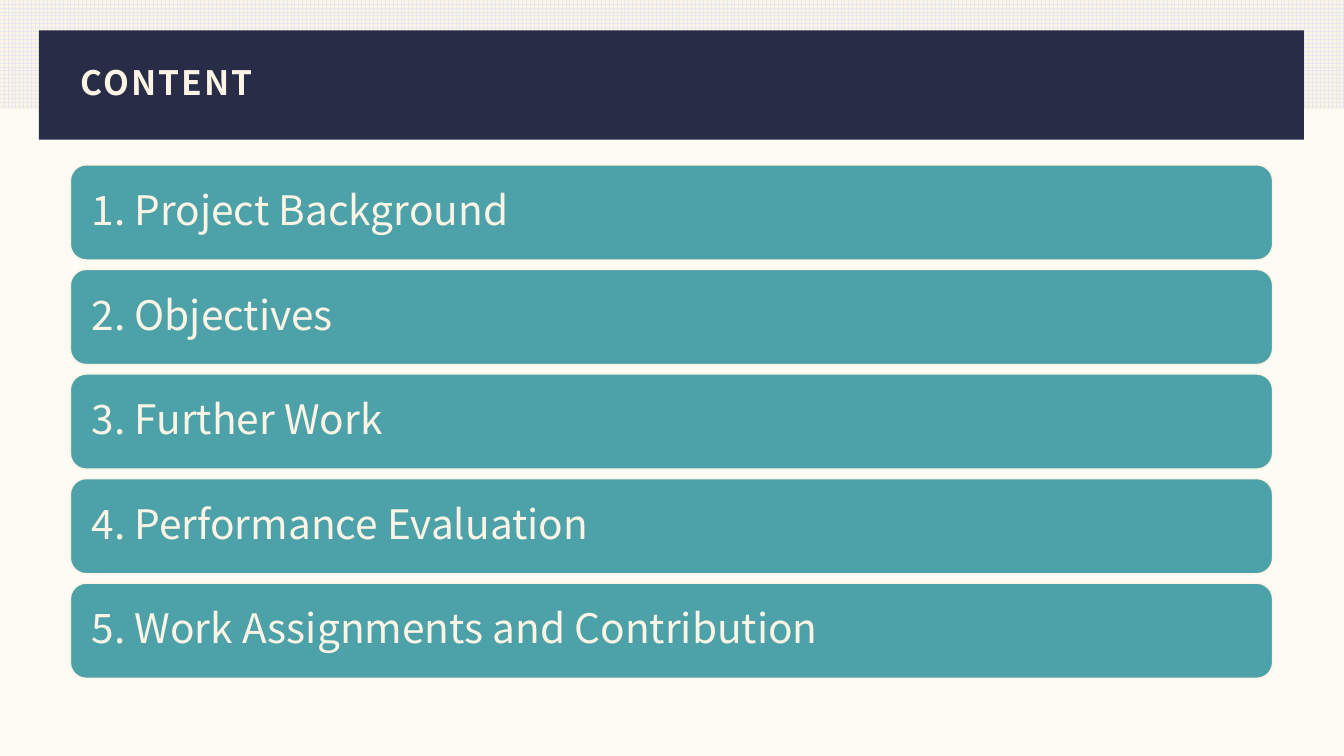
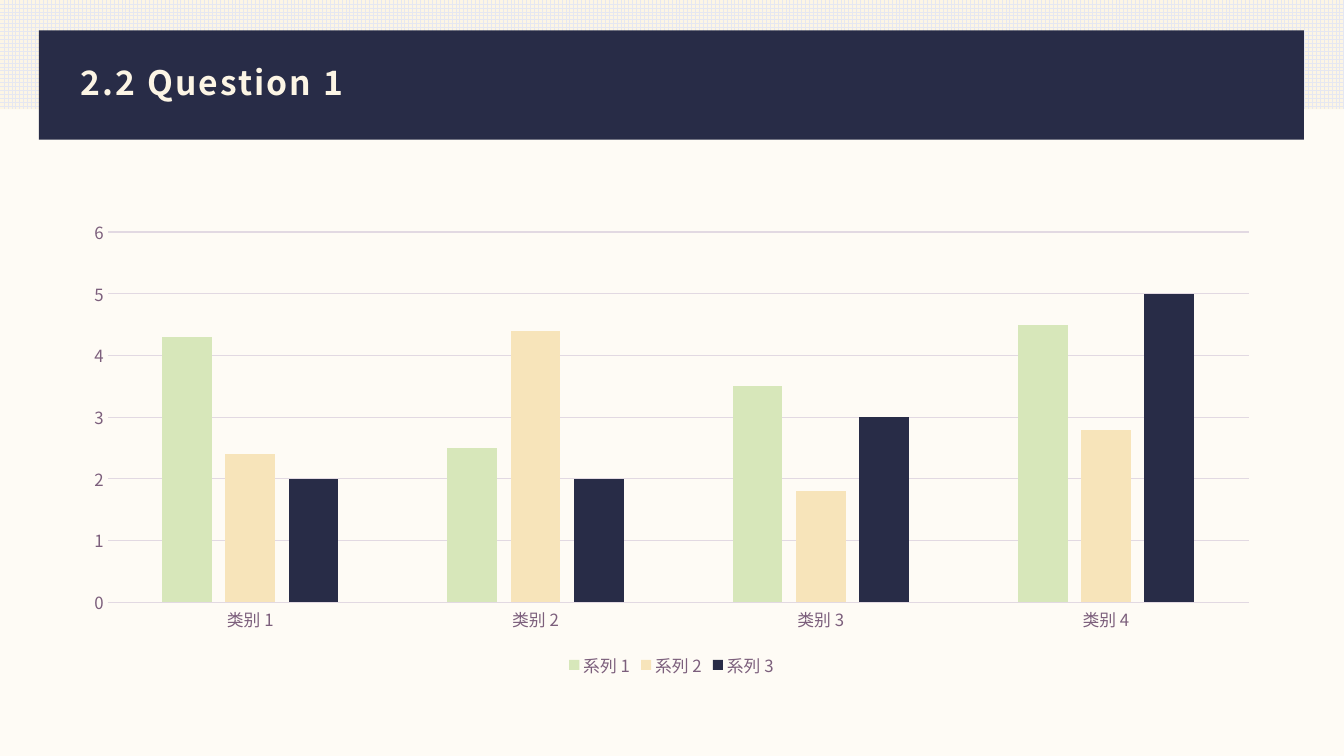
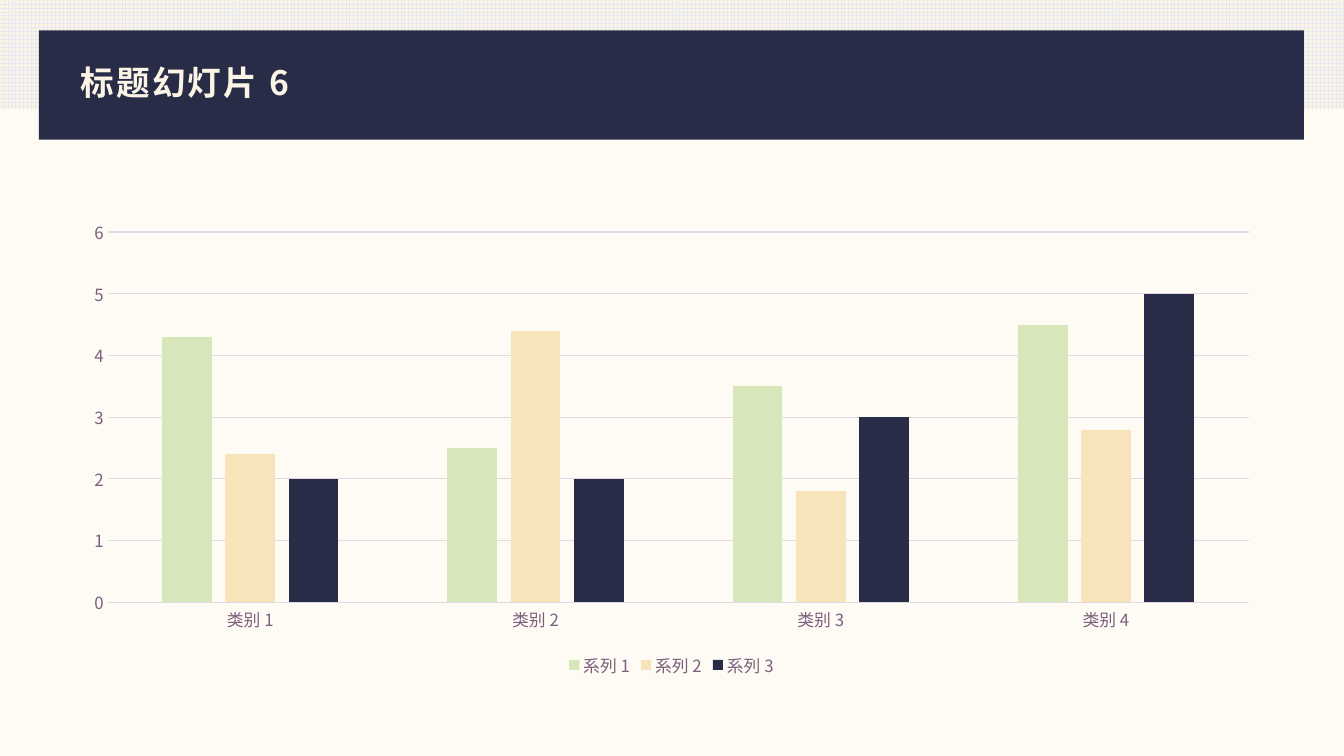
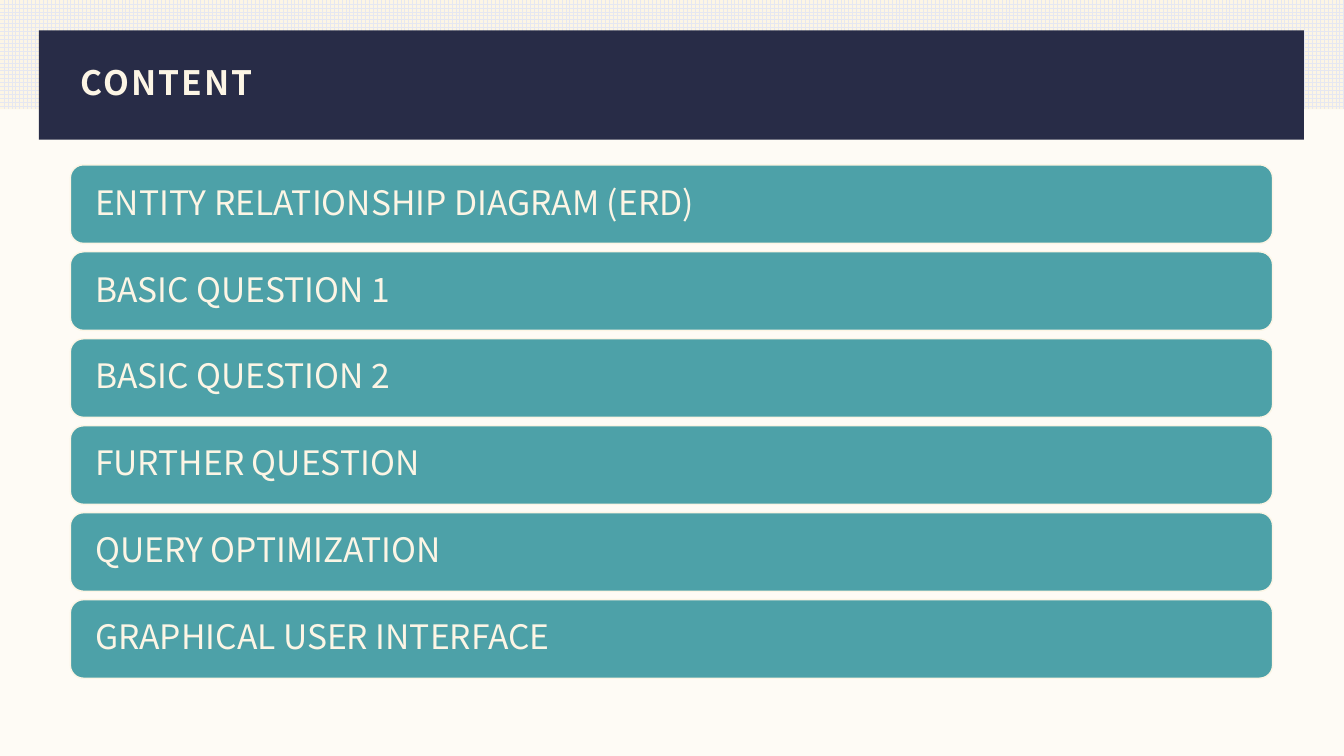
from lxml import etree
from pptx import Presentation
from pptx.chart.data import CategoryChartData
from pptx.dml.color import RGBColor
from pptx.enum.chart import XL_CHART_TYPE, XL_LEGEND_POSITION, XL_TICK_MARK
from pptx.enum.dml import MSO_PATTERN
from pptx.enum.shapes import MSO_SHAPE
from pptx.enum.text import MSO_ANCHOR, PP_ALIGN
from pptx.oxml.ns import qn
from pptx.util import Pt

RECT, ROUND = MSO_SHAPE.RECTANGLE, MSO_SHAPE.ROUNDED_RECTANGLE
GRID = MSO_PATTERN.LARGE_GRID
COLUMN = XL_CHART_TYPE.COLUMN_CLUSTERED
BOTTOM = XL_LEGEND_POSITION.BOTTOM
NO_TICK = XL_TICK_MARK.NONE
MIDDLE, LEFT = MSO_ANCHOR.MIDDLE, PP_ALIGN.LEFT

# Content
TOPICS = {
    "size": 29, "inset": 16, "gap": 9,
    "items": ["1. Project Background", "2. Objectives", "3. Further Work",
              "4. Performance Evaluation",
              "5. Work Assignments and Contribution"],
}
PARTS = {
    "size": 24, "inset": 20, "gap": 8,
    "items": ["ENTITY RELATIONSHIP DIAGRAM (ERD)", "BASIC QUESTION 1",
              "BASIC QUESTION 2", "FURTHER QUESTION", "QUERY OPTIMIZATION",
              "GRAPHICAL USER INTERFACE"],
}
GROUPS = ["类别 1", "类别 2", "类别 3", "类别 4"]
SERIES = [
    ("系列 1", [4.3, 2.5, 3.5, 4.5], "green"),
    ("系列 2", [2.4, 4.4, 1.8, 2.8], "sand"),
    ("系列 3", [2, 2, 3, 5], "navy"),
]

# Style
COLORS = {
    "page": "FEFBF5", "cream": "FCF5E5", "mist": "E5E7F1", "navy": "282C47",
    "teal": "4DA1A8", "green": "D7E7BA", "sand": "F7E4BA",
    "label": "7C5F7C", "rule": "E2D9E2",
}
HEAD, BODY = "Noto Sans CJK SC", "Noto Sans CJK JP"
PX = 9525
WIDE, HIGH = 1280, 720
X, W = 67, 1145
LIST_Y, LIST_H = 157, 489
CHART_Y, CHART_H = 200, 449


def px(*nums):
    return [round(n * PX) for n in nums]


def color(name):
    return RGBColor.from_string(COLORS[name])


def style(font, name, size, tone, bold=False):
    font.name, font.size, font.bold = name, Pt(size), bold
    font.color.rgb = color(tone)
    # East Asian text uses the same face
    latin = font._rPr.find(qn("a:latin"))
    east = etree.Element(qn("a:ea"), typeface=name)
    latin.addnext(east)


def add_box(slide, kind, box, fill=None):
    shape = slide.shapes.add_shape(kind, *px(*box))
    shape.shadow.inherit = False
    shape.line.fill.background()
    if fill:
        shape.fill.solid()
        shape.fill.fore_color.rgb = color(fill)
    return shape


def write(shape, text, inset, name, size, bold=False):
    frame = shape.text_frame
    frame.word_wrap = True
    frame.vertical_anchor = MIDDLE
    frame.margin_left, frame.margin_top, frame.margin_bottom = px(inset, 0, 0)
    para = frame.paragraphs[0]
    para.alignment, para.line_spacing = LEFT, 0.9
    run = para.add_run()
    run.text = text
    style(run.font, name, size, "cream", bold)
    return run


def add_page(prs, title):
    slide = prs.slides.add_slide(prs.slide_layouts[6])
    strip = add_box(slide, RECT, (0, 0, WIDE, 104))
    strip.fill.patterned()
    strip.fill.pattern = GRID
    strip.fill.fore_color.rgb = color("mist")
    strip.fill.back_color.rgb = color("cream")
    band = add_box(slide, RECT, (37, 29, 1205, 104), "navy")
    run = write(band, title, 40, HEAD, 24, True)
    run.font._rPr.set("spc", "150")
    return slide


def add_list(slide, data):
    items, gap = data["items"], data["gap"]
    step = (LIST_H + gap) / len(items)
    for i, text in enumerate(items):
        bar = add_box(slide, ROUND, (X, LIST_Y + i * step, W, step - gap),
                      "teal")
        bar.line.color.rgb = color("cream")
        bar.line.width = Pt(1)
        write(bar, text, data["inset"], BODY, data["size"])


def rule(line):
    line.color.rgb = color("rule")
    line.width = Pt(0.75)


def add_columns(slide, groups, series):
    data = CategoryChartData()
    data.categories = groups
    for name, vals, _ in series:
        data.add_series(name, vals)
    chart = slide.shapes.add_chart(
        COLUMN, *px(X, CHART_Y, W, CHART_H), data).chart
    chart.has_title = False
    chart.has_legend = True
    chart.legend.position = BOTTOM
    chart.legend.include_in_layout = False

    plot = chart.plots[0]
    plot.gap_width, plot.overlap = 219, -27
    plot.vary_by_categories = False
    for item, (_, _, tone) in zip(plot.series, series):
        item.format.fill.solid()
        item.format.fill.fore_color.rgb = color(tone)

    # Axes
    cat, val = chart.category_axis, chart.value_axis
    for axis in (cat, val):
        axis.major_tick_mark = axis.minor_tick_mark = NO_TICK
    for part in (cat.tick_labels, val.tick_labels, chart.legend):
        style(part.font, BODY, 12, "label")
    rule(cat.format.line)
    val.format.line.fill.background()
    val.minimum_scale, val.maximum_scale, val.major_unit = 0, 6, 1
    rule(val.major_gridlines.format.line)


def main():
    prs = Presentation()
    prs.slide_width, prs.slide_height = px(WIDE, HIGH)
    back = prs.slide_master.background.fill
    back.solid()
    back.fore_color.rgb = color("page")

    add_list(add_page(prs, "CONTENT"), TOPICS)
    for title in ("2.2 Question 1", "标题幻灯片 6"):
        add_columns(add_page(prs, title), GROUPS, SERIES)
    add_list(add_page(prs, "CONTENT"), PARTS)
    prs.save("out.pptx")


if __name__ == "__main__":
    main()
